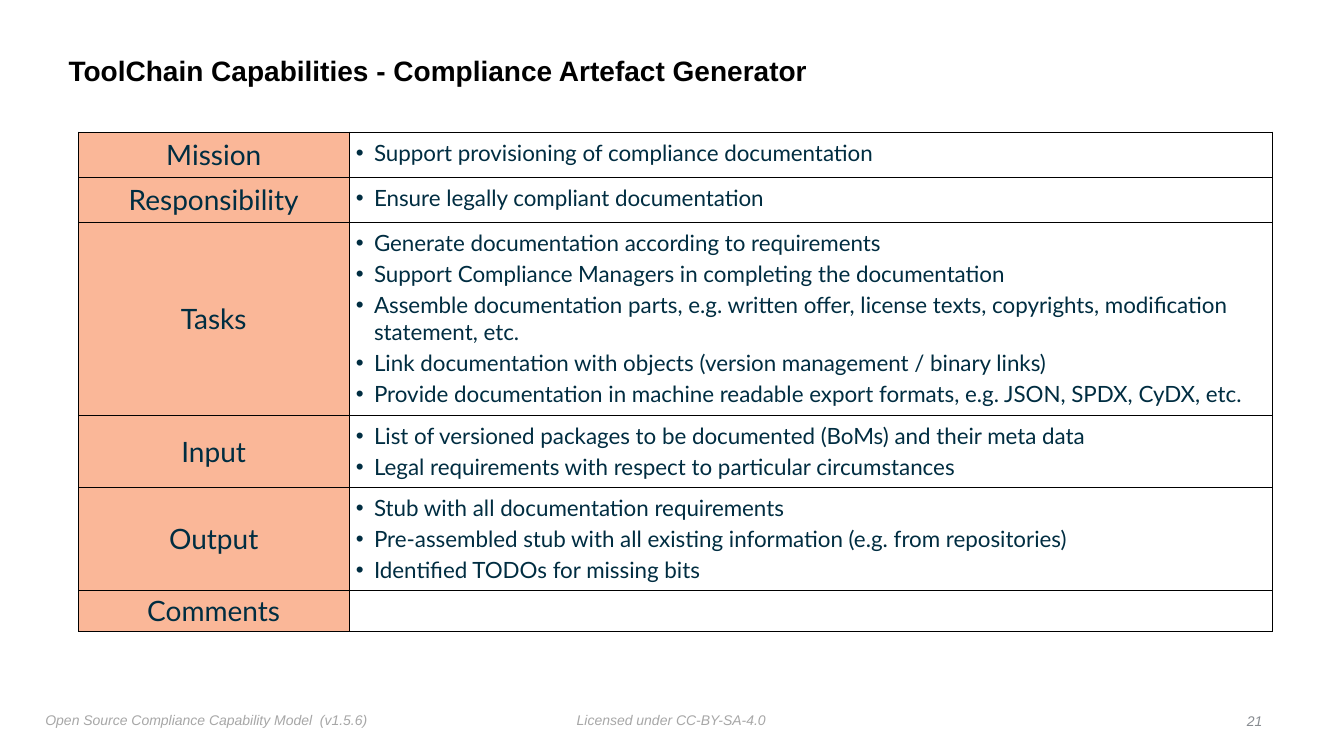
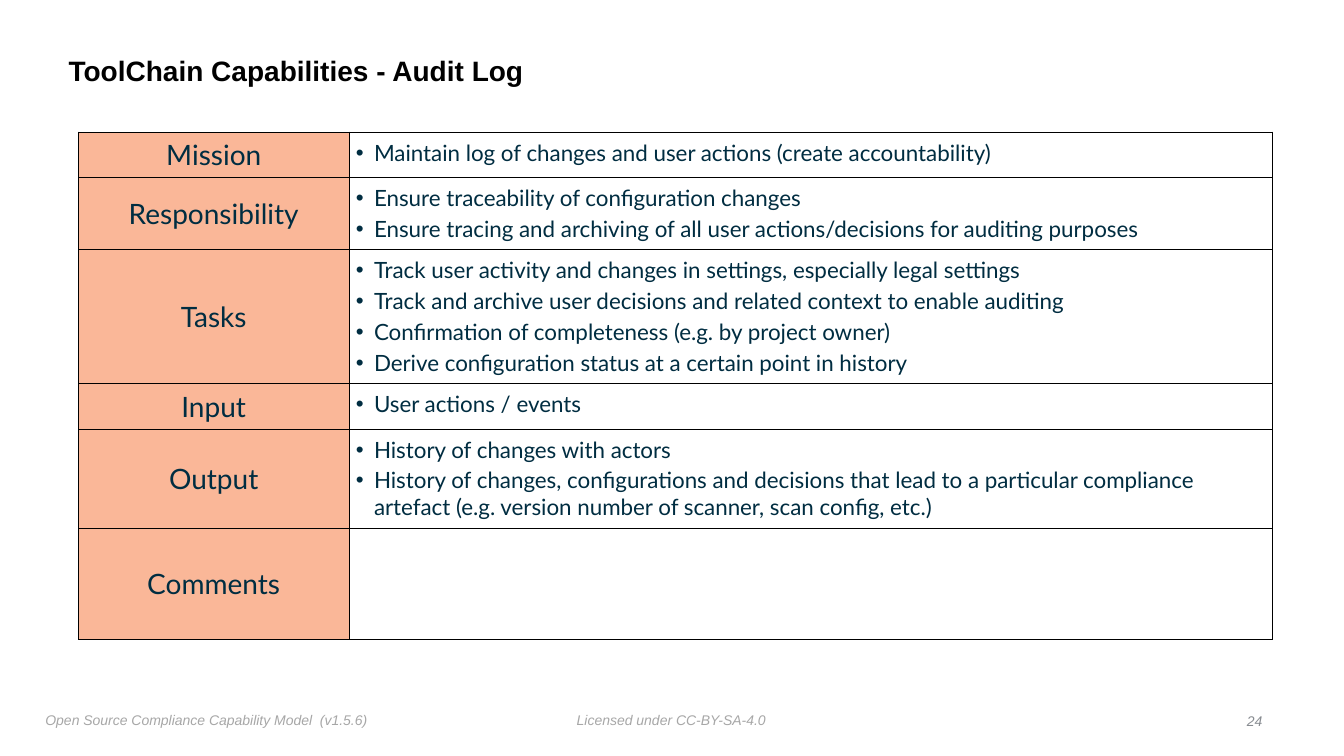
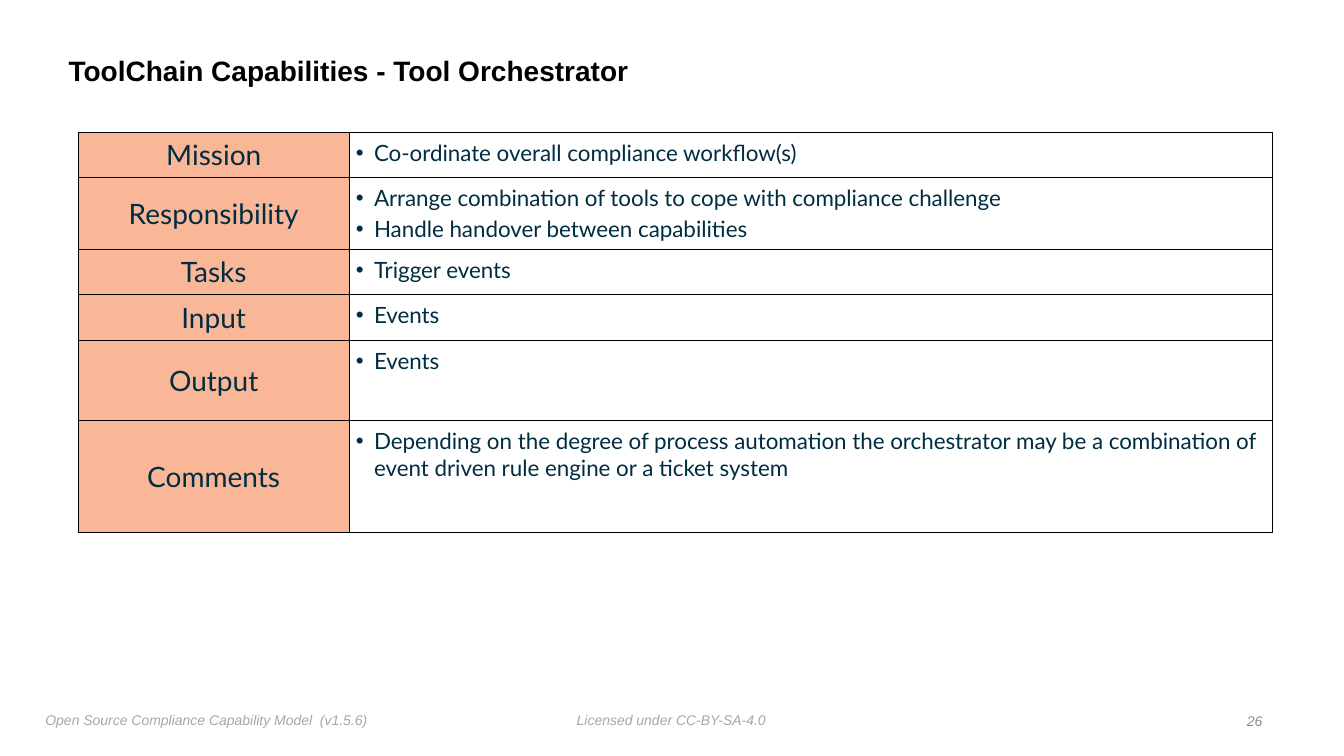
"""Build three tool chain capability slides, each a titled profile table."""
import lxml.etree
import pptx
import pptx.dml.color
import pptx.enum.text
import pptx.oxml.ns
import pptx.util

Inches = pptx.util.Inches
Pt = pptx.util.Pt
RGBColor = pptx.dml.color.RGBColor
ALIGN = pptx.enum.text.PP_ALIGN
ANCHOR = pptx.enum.text.MSO_ANCHOR

BLACK = RGBColor(0x00, 0x00, 0x00)
NAVY = RGBColor(0x00, 0x2D, 0x41)
PEACH = RGBColor(0xFA, 0xB7, 0x98)
FOOTER_GRAY = RGBColor(0xA7, 0xA7, 0xA7)
NUMBER_GRAY = RGBColor(0x88, 0x8C, 0x91)

TITLE_PREFIX = "ToolChain Capabilities - "
MODEL = "Open Source Compliance Capability Model  (v1.5.6)"
LICENSE = "Licensed under CC-BY-SA-4.0"
COLUMN_WIDTHS = (2.68, 9.16)

CAPABILITIES = [
    ("Compliance Artefact Generator", 21, [
        ("Mission", 0.45, ["Support provisioning of compliance documentation"]),
        ("Responsibility", 0.45, ["Ensure legally compliant documentation"]),
        ("Tasks", 1.91, [
            "Generate documentation according to requirements",
            "Support Compliance Managers in completing the documentation",
            "Assemble documentation parts, e.g. written offer, license texts, "
            "copyrights, modification statement, etc.",
            "Link documentation with objects (version management / binary links)",
            "Provide documentation in machine readable export formats, "
            "e.g. JSON, SPDX, CyDX, etc."]),
        ("Input", 0.7, [
            "List of versioned packages to be documented (BoMs) and their meta data",
            "Legal requirements with respect to particular circumstances"]),
        ("Output", 1.02, [
            "Stub with all documentation requirements",
            "Pre-assembled stub with all existing information (e.g. from repositories)",
            "Identified TODOs for missing bits"]),
        ("Comments", 0.41, [])]),
    ("Audit Log", 24, [
        ("Mission", 0.45, [
            "Maintain log of changes and user actions (create accountability)"]),
        ("Responsibility", 0.7, [
            "Ensure traceability of configuration changes",
            "Ensure tracing and archiving of all user actions/decisions "
            "for auditing purposes"]),
        ("Tasks", 1.33, [
            "Track user activity and changes in settings, especially legal settings",
            "Track and archive user decisions and related context to enable auditing",
            "Confirmation of completeness (e.g. by project owner)",
            "Derive configuration status at a certain point in history"]),
        ("Input", 0.45, ["User actions / events"]),
        ("Output", 0.97, [
            "History of changes with actors",
            "History of changes, configurations and decisions that lead to a "
            "particular compliance artefact (e.g. version number of scanner, "
            "scan config, etc.)"]),
        ("Comments", 1.11, [])]),
    ("Tool Orchestrator", 26, [
        ("Mission", 0.45, ["Co-ordinate overall compliance workflow(s)"]),
        ("Responsibility", 0.7, [
            "Arrange combination of tools to cope with compliance challenge",
            "Handle handover between capabilities"]),
        ("Tasks", 0.45, ["Trigger events"]),
        ("Input", 0.45, ["Events"]),
        ("Output", 0.8, ["Events"]),
        ("Comments", 1.11, [
            "Depending on the degree of process automation the orchestrator may be "
            "a combination of event driven rule engine or a ticket system"])]),
]


def style(paragraph, name, size, color, bold=False, italic=False):
    font = paragraph.font
    font.name, font.size, font.bold, font.italic = name, Pt(size), bold, italic
    font.color.rgb = color


def add_text(slide, text, box, size, color, wrap=False, anchor=ANCHOR.TOP,
             align=ALIGN.LEFT, **emphasis):
    frame = slide.shapes.add_textbox(*map(Inches, box)).text_frame
    frame.margin_left = frame.margin_right = Inches(0.05)
    frame.margin_top = frame.margin_bottom = Inches(0.05)
    frame.word_wrap, frame.vertical_anchor = wrap, anchor
    paragraph = frame.paragraphs[0]
    paragraph.text, paragraph.alignment = text, align
    style(paragraph, "Arial", size, color, **emphasis)
    return paragraph


def add_element(parent, tag, **attributes):
    return lxml.etree.SubElement(parent, pptx.oxml.ns.qn(tag), attributes)


def prepare_cell(cell, margin):
    cell.margin_left = cell.margin_right = Inches(margin)
    cell.margin_top = cell.margin_bottom = Inches(margin)
    properties = cell._tc.get_or_add_tcPr()
    for edge in ("a:lnL", "a:lnR", "a:lnT", "a:lnB"):
        line = add_element(properties, edge, w=str(Pt(0.5)))
        add_element(add_element(line, "a:solidFill"), "a:srgbClr", val=str(BLACK))


def fill_label(cell, label):
    prepare_cell(cell, 0)
    cell.fill.solid()
    cell.fill.fore_color.rgb = PEACH
    cell.vertical_anchor = ANCHOR.MIDDLE
    paragraph = cell.text_frame.paragraphs[0]
    paragraph.text, paragraph.alignment = label, ALIGN.CENTER
    style(paragraph, "Lato", 20, NAVY)


def fill_bullets(cell, bullets):
    prepare_cell(cell, 0.07)
    cell.fill.background()
    frame = cell.text_frame
    frame.text = "\n".join(bullets)
    for paragraph in frame.paragraphs:
        if bullets:
            properties = paragraph._p.get_or_add_pPr()
            properties.set("marL", str(Inches(0.18)))
            properties.set("indent", str(Inches(-0.18)))
            add_element(properties, "a:buFont", typeface="Arial")
            add_element(properties, "a:buChar", char="•")
            paragraph.space_before = Pt(3)
        style(paragraph, "Lato", 16, NAVY)


def add_profile(slide, rows):
    height = sum(row_height for _, row_height, _ in rows)
    box = (0.78, 1.31, sum(COLUMN_WIDTHS), height)
    table = slide.shapes.add_table(len(rows), 2, *map(Inches, box)).table
    table.first_row = table.horz_banding = False
    for column, width in zip(table.columns, COLUMN_WIDTHS):
        column.width = Inches(width)
    for row, (label, row_height, bullets) in zip(table.rows, rows):
        row.height = Inches(row_height)
        fill_label(row.cells[0], label)
        fill_bullets(row.cells[1], bullets)


def add_capability(deck, name, number, rows):
    slide = deck.slides.add_slide(deck.slide_layouts[6])
    add_text(slide, LICENSE, (5.67, 7.01, 1.99, 0.25), 10, FOOTER_GRAY, italic=True)
    add_text(slide, MODEL, (0.4, 7.01, 3.32, 0.27), 10, FOOTER_GRAY, italic=True)
    title = add_text(slide, TITLE_PREFIX + name, (0.63, 0.39, 10.75, 0.65), 20, BLACK,
                     wrap=True, anchor=ANCHOR.MIDDLE, bold=True)
    title.line_spacing = 0.9
    add_profile(slide, rows)
    add_text(slide, str(number), (12.3, 7.03, 0.27, 0.25), 10, NUMBER_GRAY,
             anchor=ANCHOR.MIDDLE, align=ALIGN.RIGHT, italic=True)


def main():
    deck = pptx.Presentation()
    deck.slide_width, deck.slide_height = Inches(13.33), Inches(7.5)
    for capability in CAPABILITIES:
        add_capability(deck, *capability)
    deck.save("out.pptx")


if __name__ == "__main__":
    main()
